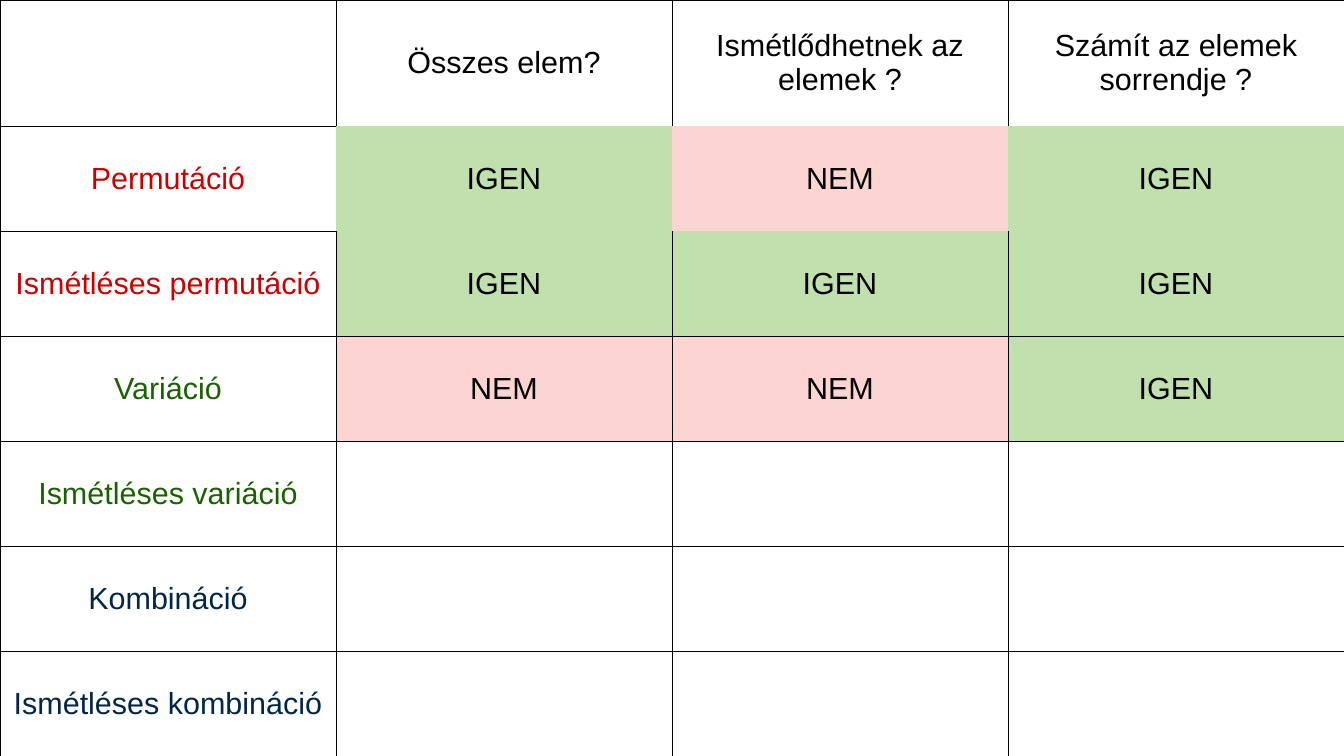
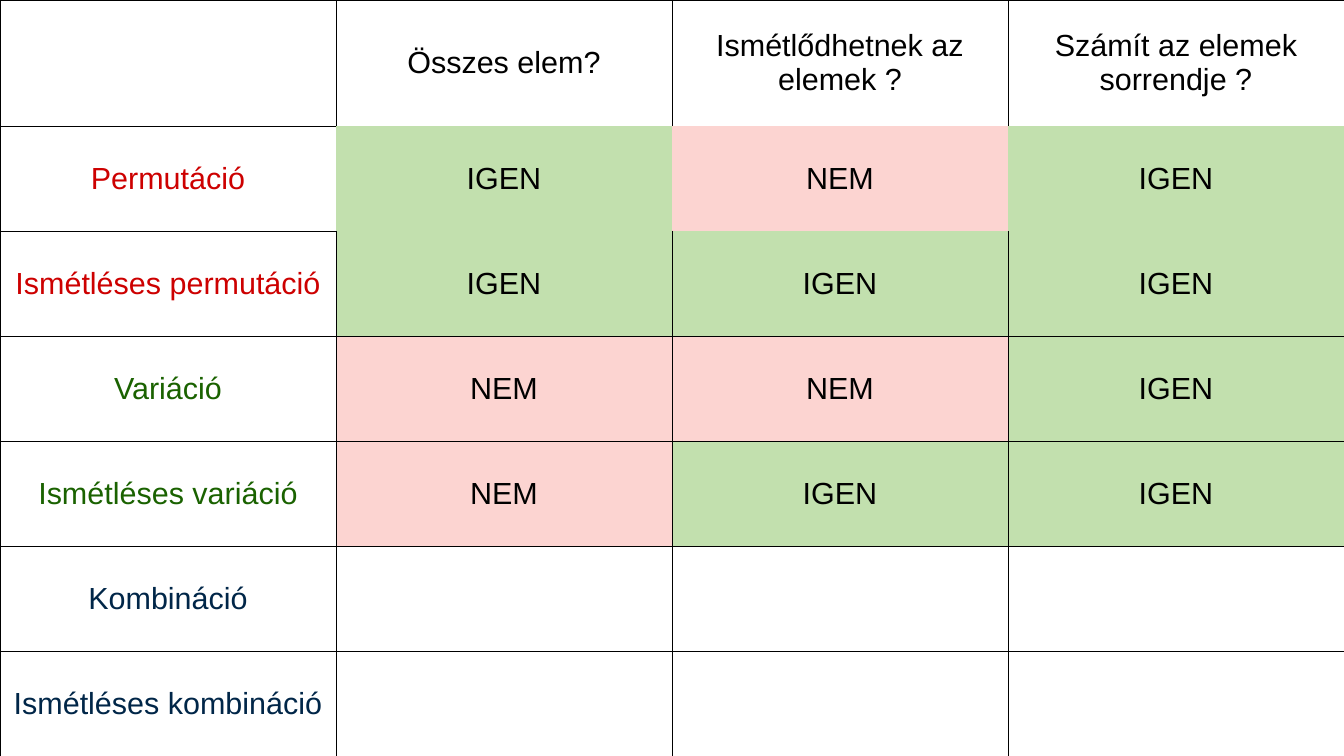
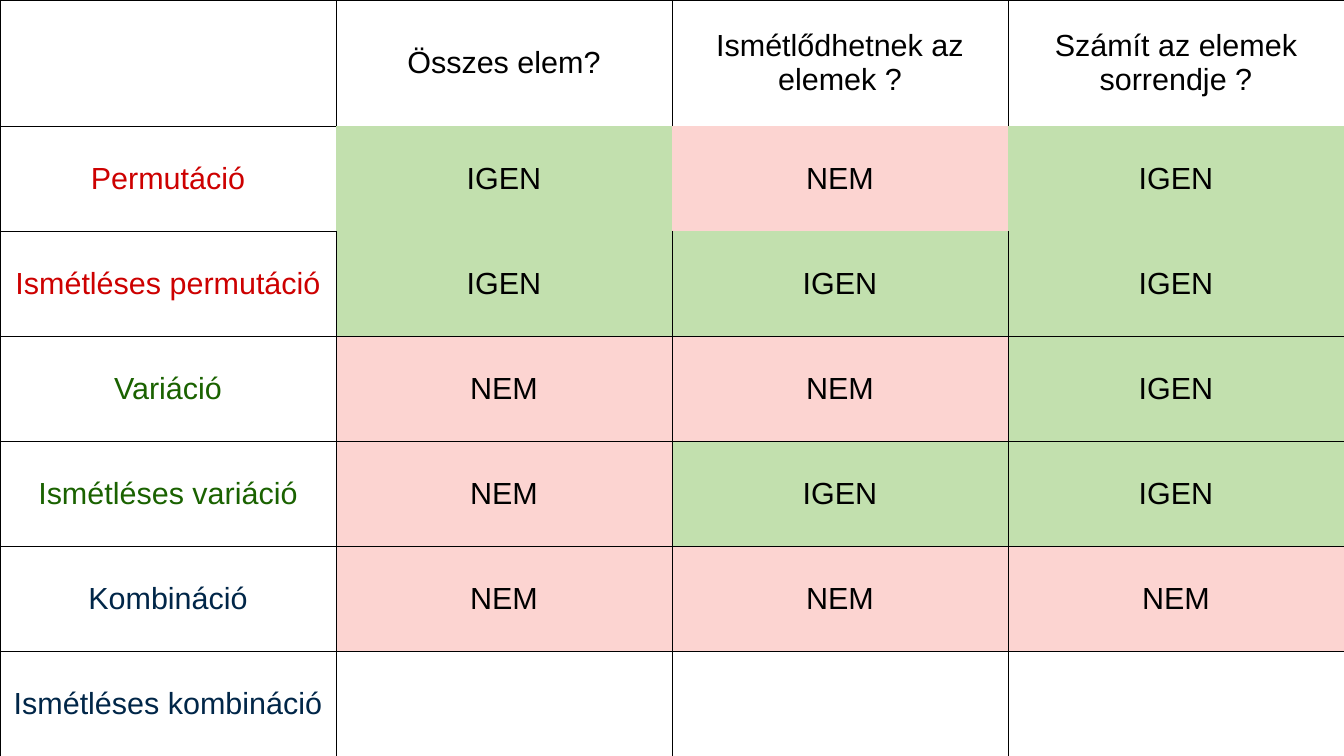
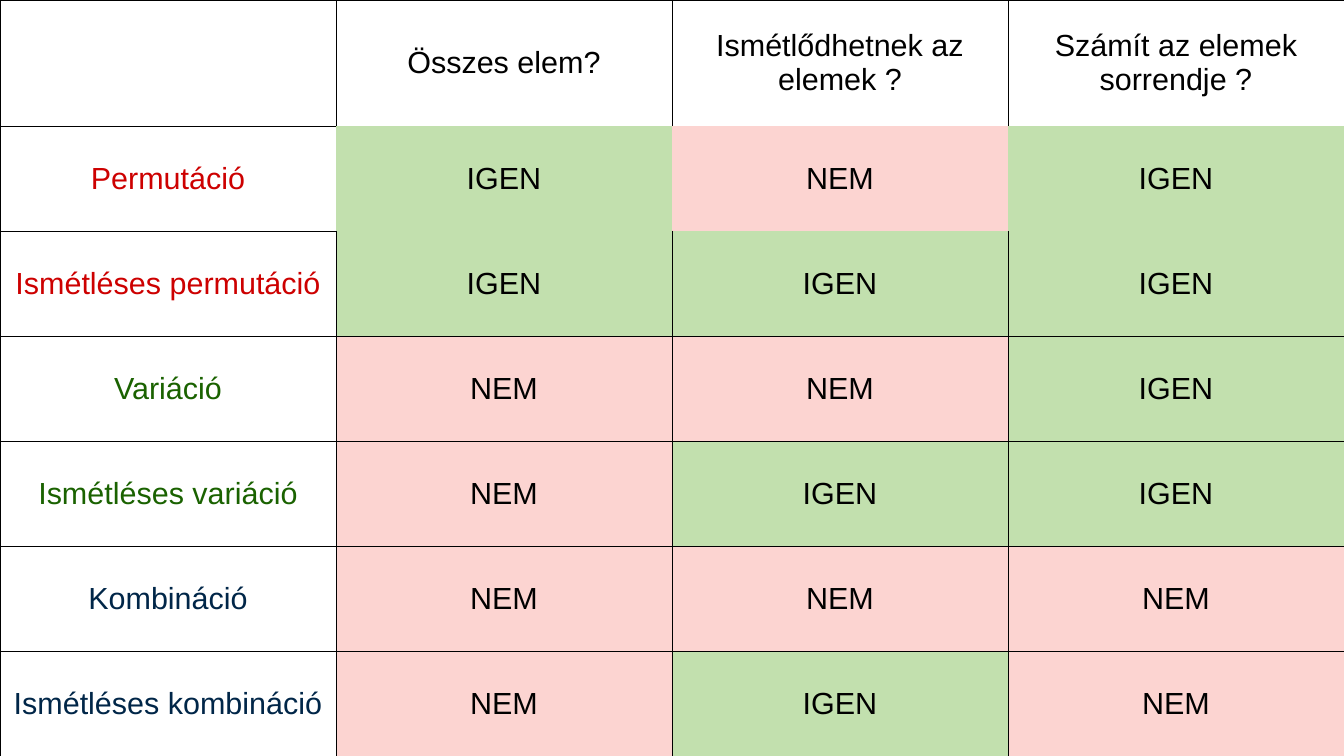
from dataclasses import dataclass

from lxml import etree
from pptx import Presentation
from pptx.dml.color import RGBColor
from pptx.enum.text import MSO_ANCHOR, PP_ALIGN
from pptx.oxml.ns import qn
from pptx.slide import Slide
from pptx.table import _Cell
from pptx.util import Emu, Pt

# Enum members
CENTER = PP_ALIGN.CENTER
MIDDLE = MSO_ANCHOR.MIDDLE

# Lengths in px
EMU_PER_PX = 914400 // 122
SLIDE_W, SLIDE_H = 1344, 756
HEADER_H = 126

# Colours
BLACK = RGBColor(0x00, 0x00, 0x00)
WHITE = RGBColor(0xFF, 0xFF, 0xFF)
RED = RGBColor(0xCD, 0x00, 0x00)
GREEN = RGBColor(0x1A, 0x62, 0x00)
NAVY = RGBColor(0x00, 0x26, 0x48)
PALE_GREEN = RGBColor(0xC2, 0xE0, 0xAE)
PALE_RED = RGBColor(0xFC, 0xD4, 0xD1)

# Shared formats
TEXT_FORMAT = {"name": "Arial", "size": Pt(18), "bold": False}
GRID_WIDTH = Pt(0.06)
PLAIN_STYLE = "{2D5ABB26-0587-4C30-8999-92F81FD0307C}"
BLANK_LAYOUT = 6
# Each side of a cell, with the step (row, column) to the neighbour there
SIDES = {"a:lnL": (0, -1), "a:lnR": (0, 1), "a:lnT": (-1, 0), "a:lnB": (1, 0)}

YES, NO = "IGEN", "NEM"
ANSWER_FILLS = {YES: PALE_GREEN, NO: PALE_RED}


@dataclass(frozen=True)
class Arrangement:
    name: str
    color: RGBColor
    answers: tuple[str, ...]


QUESTIONS = (
    "Összes elem?",
    "Ismétlődhetnek az elemek ?",
    "Számít az elemek sorrendje ?",
)
ARRANGEMENTS = (
    Arrangement("Permutáció", RED, (YES, NO, YES)),
    Arrangement("Ismétléses permutáció", RED, (YES, YES, YES)),
    Arrangement("Variáció", GREEN, (NO, NO, YES)),
    Arrangement("Ismétléses variáció", GREEN, (NO, YES, YES)),
    Arrangement("Kombináció", NAVY, (NO, NO, NO)),
    Arrangement("Ismétléses kombináció", NAVY, (NO, YES, NO)),
)
# Rows answered on each slide
ANSWERED_COUNTS = (3, 4, 5, 6)


def px(length: int) -> Emu:
    return Emu(length * EMU_PER_PX)


def is_borderless(row: int, column: int) -> bool:
    """The answers of the first arrangement have no grid lines."""
    return row == 1 and column >= 1


def draw_borders(cell: _Cell, row: int, column: int) -> None:
    properties = cell._tc.get_or_add_tcPr()
    for tag, (down, right) in SIDES.items():
        line = etree.SubElement(properties, qn(tag), w=str(GRID_WIDTH))
        if is_borderless(row, column) or is_borderless(row + down, column + right):
            etree.SubElement(line, qn("a:noFill"))
        else:
            fill = etree.SubElement(line, qn("a:solidFill"))
            etree.SubElement(fill, qn("a:srgbClr"), val=str(BLACK))


def write_cell(cell: _Cell, text: str, color: RGBColor) -> None:
    cell.vertical_anchor = MIDDLE
    paragraph = cell.text_frame.paragraphs[0]
    paragraph.alignment = CENTER
    run = paragraph.add_run()
    run.text = text
    for attribute, value in TEXT_FORMAT.items():
        setattr(run.font, attribute, value)
    run.font.color.rgb = color


def comparison_rows(answered: int) -> list[tuple[str, ...]]:
    rows = [("", *QUESTIONS)]
    for index, arrangement in enumerate(ARRANGEMENTS):
        shown = arrangement.answers if index < answered else ("",) * len(QUESTIONS)
        rows.append((arrangement.name, *shown))
    return rows


def add_comparison(slide: Slide, answered: int) -> None:
    rows = comparison_rows(answered)
    column_count = len(QUESTIONS) + 1
    frame = slide.shapes.add_table(
        len(rows), column_count, px(0), px(0), px(SLIDE_W), px(SLIDE_H)
    )
    for style in frame.element.iter(qn("a:tableStyleId")):
        style.text = PLAIN_STYLE
    comparison = frame.table
    comparison.first_row = comparison.horz_banding = False

    # Equal columns, and equal rows below the header
    for column in comparison.columns:
        column.width = px(SLIDE_W // column_count)
    for index, row in enumerate(comparison.rows):
        row.height = px((SLIDE_H - HEADER_H) // len(ARRANGEMENTS) if index else HEADER_H)

    for r, texts in enumerate(rows):
        for c, text in enumerate(texts):
            cell = comparison.cell(r, c)
            draw_borders(cell, r, c)
            cell.fill.solid()
            cell.fill.fore_color.rgb = ANSWER_FILLS.get(text, WHITE)
            if text:
                is_name = r > 0 and c == 0
                write_cell(cell, text, ARRANGEMENTS[r - 1].color if is_name else BLACK)


def main() -> None:
    deck = Presentation()
    deck.slide_width, deck.slide_height = px(SLIDE_W), px(SLIDE_H)
    for answered in ANSWERED_COUNTS:
        slide = deck.slides.add_slide(deck.slide_layouts[BLANK_LAYOUT])
        add_comparison(slide, answered)
    deck.save("out.pptx")


if __name__ == "__main__":
    main()
